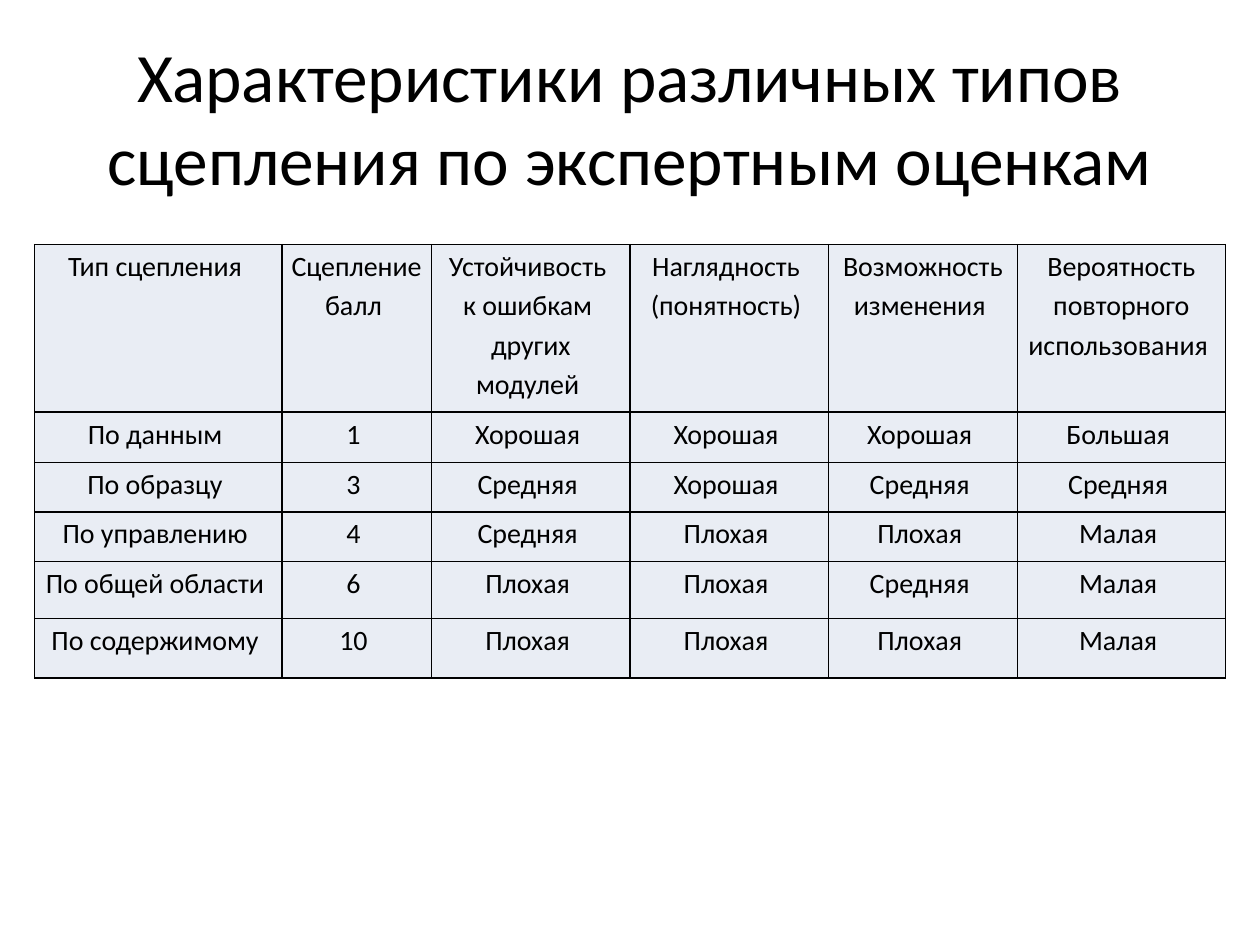
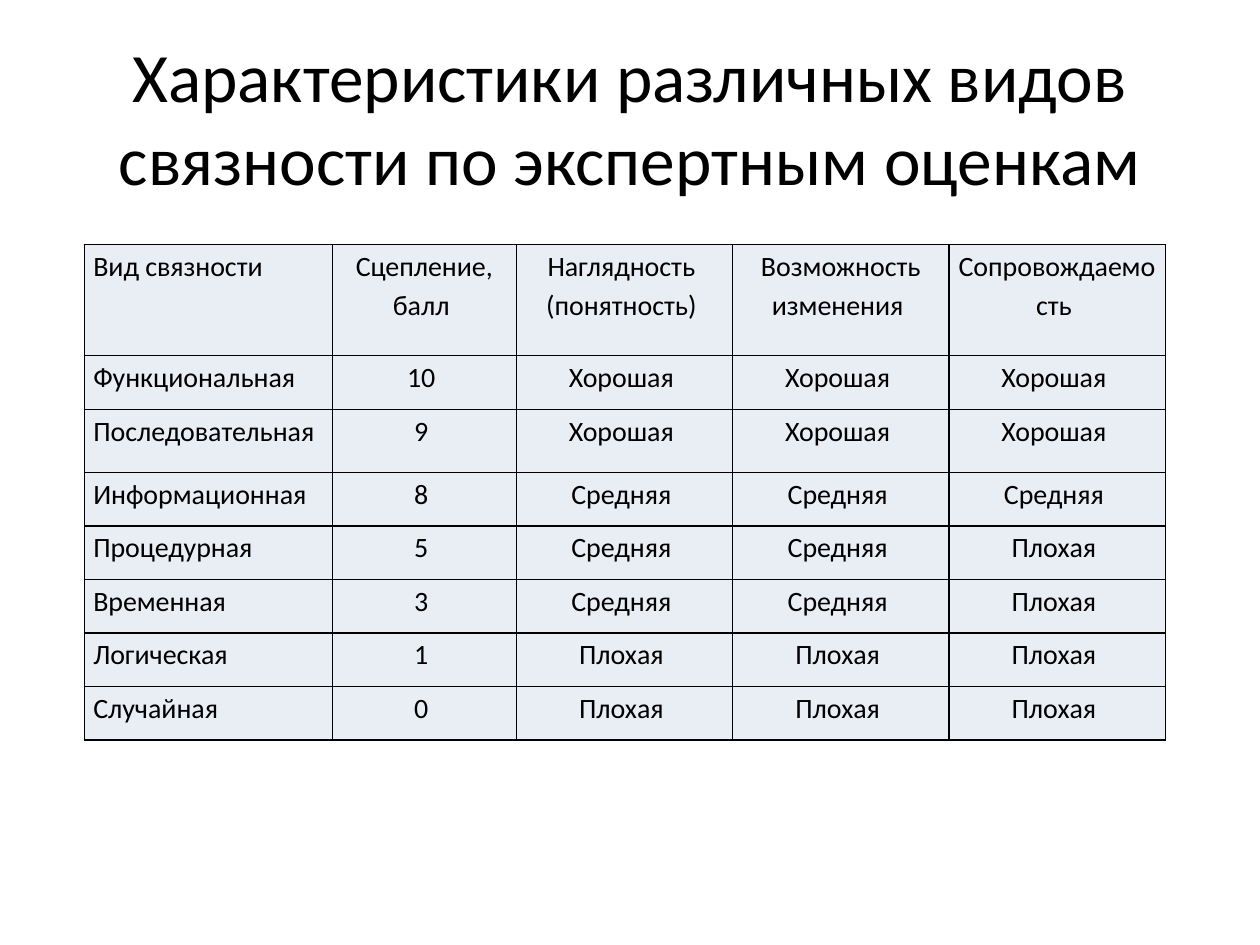
from copy import deepcopy

from pptx import Presentation
from pptx.dml.color import RGBColor
from pptx.enum.text import MSO_ANCHOR, PP_ALIGN as Align
from pptx.oxml import parse_xml as to_xml
from pptx.oxml.ns import nsdecls, qn
from pptx.util import Cm, Pt

# Shared look
FONT = "Calibri"
BLACK = "000000"
PALE = "E9EDF4"
EDGE = (
    '<a:{side} {ns} w="12700"><a:solidFill><a:srgbClr val="{ink}"/>'
    "</a:solidFill></a:{side}>"
)


def color(code):
    return RGBColor.from_string(code)


def write(frame, text, size, align=Align.CENTER, space=1.0):
    """Fill a frame; "|" starts a paragraph and "\\n" breaks a line."""
    frame.word_wrap = True
    for i, line in enumerate(text.split("|")):
        para = frame.add_paragraph() if i else frame.paragraphs[0]
        para.text = line
        para.alignment = align
        para.line_spacing = space
        for run in para.runs:
            run.font.name = FONT
            run.font.size = Pt(size)
            run.font.color.rgb = color(BLACK)
        # Line breaks take the same format as the text
        for mark in para._p.findall(qn("a:br")):
            mark.insert(0, deepcopy(para.runs[0].font._element))


# Each slide: title, table left edge, first column alignment, sizes, cells
pages = [
    {
        "title": "Характеристики различных типов сцепления по экспертным оценкам",
        "left": 0.7,
        "first": Align.CENTER,
        "cols": [4.98, 3.02, 4, 4, 3.81, 4.19],
        "rows": [3.38, 1.01, 1, 1, 1.15, 1.2],
        "cells": [
            ["Тип сцепления", "Сцепление балл",
             "Устойчивость \nк ошибкам |других модулей",
             "Наглядность |(понятность)", "Возможность изменения",
             "Вероятность повторного использования"],
            ["По данным", "1", "Хорошая", "Хорошая", "Хорошая", "Большая"],
            ["По образцу", "3", "Средняя", "Хорошая", "Средняя", "Средняя"],
            ["По управлению", "4", "Средняя", "Плохая", "Плохая", "Малая"],
            ["По общей области", "6", "Плохая", "Плохая", "Средняя", "Малая"],
            ["По содержимому", "10", "Плохая", "Плохая", "Плохая", "Малая"],
        ],
    },
    {
        "title": "Характеристики различных видов связности по экспертным оценкам",
        "left": 1.7,
        "first": Align.LEFT,
        "cols": [5, 3.71] + [4.36] * 3,
        "rows": [2.24, 1.08, 1.27] + [1.08] * 5,
        "cells": [
            ["Вид связности", "Сцепление, балл", "Наглядность |(понятность)",
             "Возможность изменения", "Сопровождаемость"],
            ["Функциональная", "10", "Хорошая", "Хорошая", "Хорошая"],
            ["Последовательная", "9", "Хорошая", "Хорошая", "Хорошая"],
            ["Информационная", "8", "Средняя", "Средняя", "Средняя"],
            ["Процедурная", "5", "Средняя", "Средняя", "Плохая"],
            ["Временная", "3", "Средняя", "Средняя", "Плохая"],
            ["Логическая", "1", "Плохая", "Плохая", "Плохая"],
            ["Случайная", "0", "Плохая", "Плохая", "Плохая"],
        ],
    },
]

deck = Presentation()
deck.slide_width, deck.slide_height = Cm(25.4), Cm(19.05)

for page in pages:
    slide = deck.slides.add_slide(deck.slide_layouts[6])

    # Title
    box = slide.shapes.add_textbox(Cm(1.27), Cm(0.76), Cm(22.86), Cm(3.18))
    box.text_frame.vertical_anchor = MSO_ANCHOR.MIDDLE
    write(box.text_frame, page["title"], size=39.6)

    # Table grid
    cols, rows = page["cols"], page["rows"]
    table = slide.shapes.add_table(
        len(rows), len(cols), Cm(page["left"]), Cm(4.93),
        Cm(sum(cols)), Cm(sum(rows))).table
    table.first_row = table.horz_banding = False
    for col, width in zip(table.columns, cols):
        col.width = Cm(width)
    for row, height in zip(table.rows, rows):
        row.height = Cm(height)

    # Cells: text, borders, fill
    for r, line in enumerate(page["cells"]):
        for c, text in enumerate(line):
            cell = table.cell(r, c)
            cell.margin_left = cell.margin_right = Cm(0.18)
            cell.margin_top = cell.margin_bottom = 0
            align = Align.CENTER if c else page["first"]
            tail = " " if align == Align.CENTER else ""
            write(cell.text_frame, text + tail, size=16, align=align, space=1.15)
            props = cell._tc.get_or_add_tcPr()
            for side in ("lnL", "lnR", "lnT", "lnB"):
                props.append(to_xml(
                    EDGE.format(side=side, ns=nsdecls("a"), ink=BLACK)))
            cell.fill.solid()
            cell.fill.fore_color.rgb = color(PALE)

deck.save("out.pptx")
